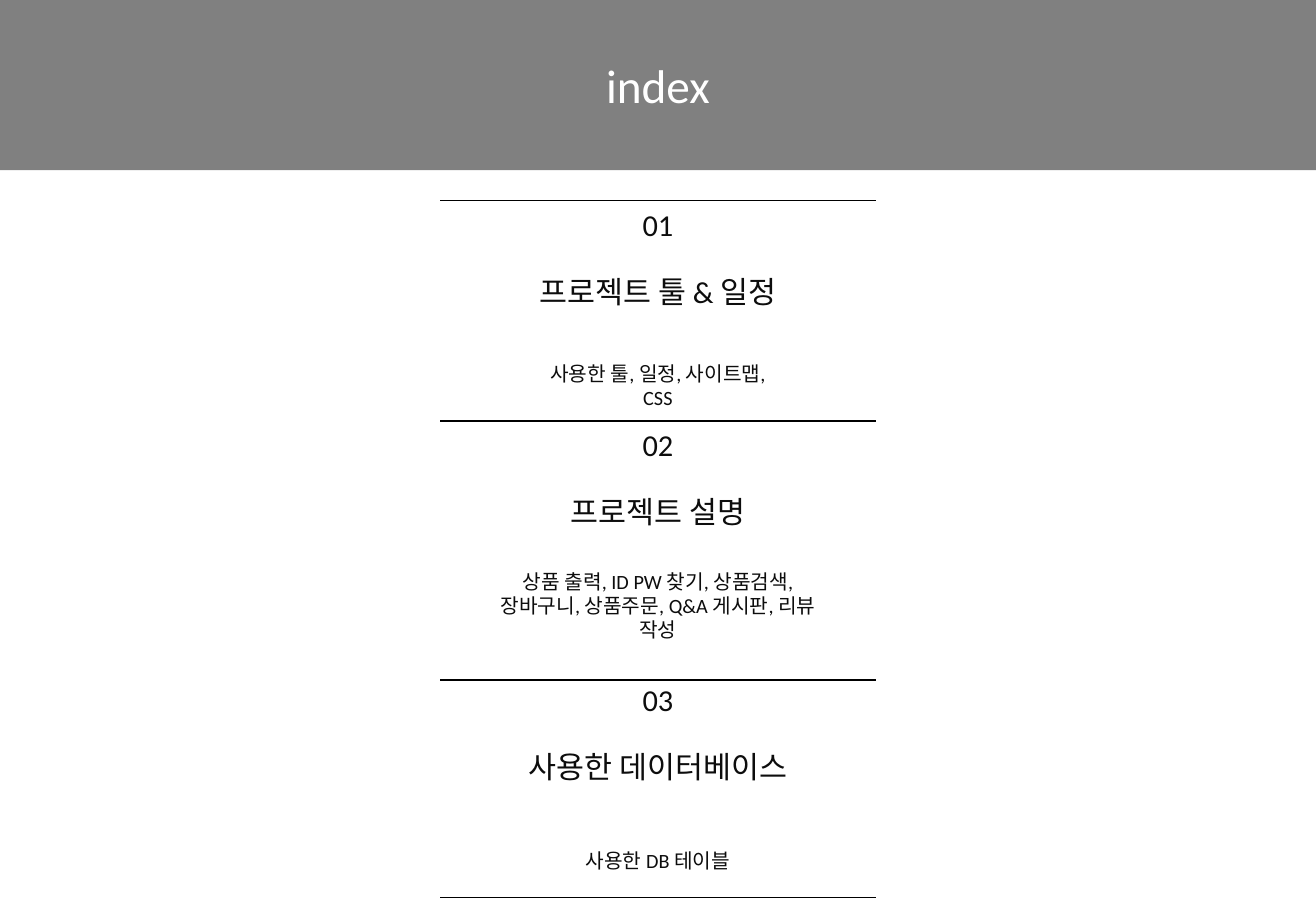
import pptx
import pptx.util
import pptx.dml.color
import pptx.enum.shapes
import pptx.enum.text
import lxml.etree

Cm = pptx.util.Cm
Pt = pptx.util.Pt
SHAPE = pptx.enum.shapes.MSO_SHAPE

WIDTH, HEIGHT = 27.51, 19.05
COLORS = {"band": "808080", "title": "FFFFFF", "text": "0D0D0D", "rule": "000000"}


class IndexSlide:
    font = "Calibri"

    def __init__(self, prs):
        self.s = prs.slides.add_slide(prs.slide_layouts[6])

    def color(self, name):
        return pptx.dml.color.RGBColor.from_string(COLORS[name])

    def block(self, kind, top, width, height, text, size, color="text", fill=None):
        """Add a shape with centred text, centred across the slide."""
        sp = self.s.shapes.add_shape(
            kind, Cm((WIDTH - width) / 2), Cm(top), Cm(width), Cm(height))
        sp.shadow.inherit = False
        sp.line.fill.background()
        if fill:
            sp.fill.solid()
            sp.fill.fore_color.rgb = self.color(fill)
        else:
            sp.fill.background()
        tf = sp.text_frame
        tf.word_wrap = True
        tf.vertical_anchor = pptx.enum.text.MSO_ANCHOR.MIDDLE
        tf.text = text
        for p in tf.paragraphs:
            p.alignment = pptx.enum.text.PP_ALIGN.CENTER
            for r in p.runs:
                r.font.name = self.font
                r.font.size = Pt(size)
                r.font.color.rgb = self.color(color)

    def title_band(self, text):
        self.block(SHAPE.RECTANGLE, 0, WIDTH, 3.56, text, 28, "title", "band")

    def label(self, top, width, text, size):
        self.block(SHAPE.ROUNDED_RECTANGLE, top, width, 1.45, text, size)

    def rule(self, top, length=9.1):
        left = (WIDTH - length) / 2
        line = self.s.shapes.add_connector(
            pptx.enum.shapes.MSO_CONNECTOR.STRAIGHT,
            Cm(left), Cm(top), Cm(left + length), Cm(top))
        line.line.color.rgb = self.color("rule")
        line.line.width = Pt(1)
        lxml.etree.SubElement(line._element.spPr, pptx.oxml.ns.qn("a:effectLst"))

    def section(self, top, number, heading, detail):
        self.label(top, 1.3, number, 18)
        self.label(top + 1.4, 6.76, heading, 18)
        self.label(top + 3.37, 7.47, detail, 12)


SECTIONS = [
    (3.96, "01", "프로젝트 툴 & 일정", "사용한 툴, 일정, 사이트맵,\nCSS"),
    (8.57, "02", "프로젝트 설명",
     "상품 출력, ID PW 찾기, 상품검색, 장바구니, 상품주문, Q&A 게시판, 리뷰 작성"),
    (13.9, "03", "사용한 데이터베이스", "사용한 DB 테이블"),
]
RULES = [4.19, 8.81, 14.22, 18.77]


def main():
    prs = pptx.Presentation()
    prs.slide_width, prs.slide_height = Cm(WIDTH), Cm(HEIGHT)
    slide = IndexSlide(prs)
    slide.title_band("index")
    for section in SECTIONS:
        slide.section(*section)
    for top in RULES:
        slide.rule(top)
    prs.save("out.pptx")


if __name__ == "__main__":
    main()
